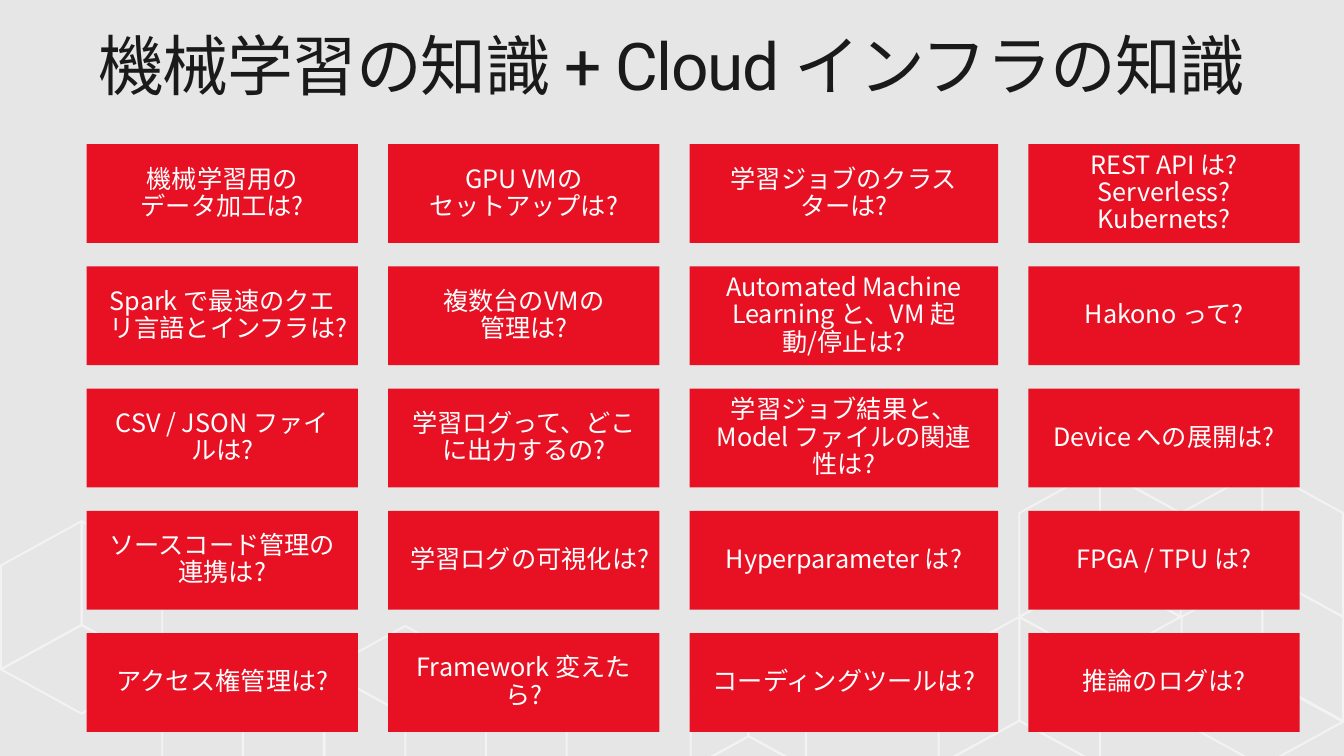
from lxml.etree import SubElement
from pptx import Presentation
from pptx.dml.color import RGBColor
from pptx.enum.shapes import MSO_SHAPE as Preset
from pptx.enum.text import MSO_ANCHOR as Anchor, PP_ALIGN as Align
from pptx.oxml.ns import qn
from pptx.util import Inches, Pt

BACKGROUND = RGBColor(0xE6, 0xE6, 0xE6)
LATTICE = RGBColor(0xF3, 0xF3, 0xF3)
RED = RGBColor(0xE8, 0x11, 0x23)
WHITE = RGBColor(0xFF, 0xFF, 0xFF)
INK = RGBColor(0x1A, 0x1A, 0x1A)
JAPANESE_FONT = "Noto Sans CJK JP"

TITLE = "機械学習の知識 + Cloud インフラの知識"
TITLE_BOX = (0.29, 0.2, 12.75, 0.98)
TITLE_FONT = {"name": "Roboto", "size": Pt(47), "bold": False}
TITLE_FRAME = {"margin_left": Inches(0.16), "margin_right": Inches(0.16),
               "margin_top": Inches(0.1), "margin_bottom": Inches(0.1),
               "vertical_anchor": Anchor.MIDDLE, "word_wrap": True}

# Question tiles, one list per column; \v breaks a line, \n a paragraph
GRID_BOX = (0.86, 1.43, 12.03, 5.83)
COLUMN_WIDTHS = (2.69, 2.69, 3.06, 2.69)
TILE_HEIGHT = 0.98
TILE_FONT = {"name": JAPANESE_FONT, "size": Pt(18)}
TILE_FRAME = {"margin_left": Inches(0.2), "margin_right": Inches(0.2),
              "margin_top": Inches(0.16), "margin_bottom": Inches(0.16),
              "vertical_anchor": Anchor.MIDDLE, "word_wrap": True}
QUESTIONS = (
    ("機械学習用の\vデータ加工は?", "Spark で最速のクエリ言語とインフラは?",
     "CSV / JSON ファイルは?", "ソースコード管理の\v連携は?", "アクセス権管理は?"),
    ("GPU VMの\vセットアップは?", "複数台のVMの\v管理は?",
     "学習ログって、どこに出力するの?", "学習ログの可視化は?", "Framework 変えたら?"),
    ("学習ジョブのクラスターは?", "Automated Machine Learning と、VM 起動/停止は?",
     "学習ジョブ結果と、Model ファイルの関連性は?", "Hyperparameter は?",
     "コーディングツールは?"),
    ("REST API は?\nServerless?\nKubernets?", "Hakono って?",
     "Device への展開は?", "FPGA / TPU は?", "推論のログは?"),
)

# Cube faces, as corners measured from the leftmost upper corner
STEP, RISE, EDGE = 0.8, 0.44, 1.03
FACES = {
    "rising": ((0, 0), (STEP, -RISE), (STEP, EDGE - RISE), (0, EDGE)),
    "falling": ((0, 0), (STEP, RISE), (STEP, EDGE + RISE), (0, EDGE)),
    "top": ((0, 0), (STEP, -RISE), (2 * STEP, 0), (STEP, RISE)),
    "roof": ((0, 0), (STEP, -RISE), (2 * STEP, 0)),
}
SMALL = 0.72
CUBES = {
    ("rising", 1): ((9.31, 6.56), (10.11, 5.09), (11.72, 6.12),
                    (2.41, 7.08), (0.01, 5.61)),
    ("falling", 1): ((10.11, 6.12), (10.91, 4.65), (12.52, 5.68), (12.52, 4.65),
                     (1.61, 6.64), (0.81, 5.17), (3.22, 6.65), (4.82, 6.65)),
    ("top", 1): ((10.91, 4.65), (10.11, 6.12), (11.72, 7.16),
                 (0.01, 6.64), (3.22, 6.65)),
    ("roof", 1): ((9.31, 7.59),),
    ("rising", SMALL): ((6.85, 6.88),),
    ("falling", SMALL): ((7.42, 6.56),),
    ("roof", SMALL): ((6.85, 7.62),),
}


def apply_format(target, values):
    for name, value in values.items():
        setattr(target, name, value)


def write_text(shape, text, frame_format, font_format, color):
    frame = shape.text_frame
    frame.text = text
    apply_format(frame, frame_format)
    for paragraph in frame.paragraphs:
        apply_format(paragraph, {"alignment": Align.CENTER, "line_spacing": 0.9})
        for run in paragraph.runs:
            apply_format(run.font, font_format)
            run.font.color.rgb = color
            properties = run.font._element
            SubElement(properties, qn("a:ea")).set("typeface", JAPANESE_FONT)


def draw_face(slide, face, scale, left, top):
    corners = [(Inches(left + x * scale), Inches(top + y * scale))
               for x, y in FACES[face]]
    builder = slide.shapes.build_freeform(*corners[0], scale=1.0)
    builder.add_line_segments(corners[1:], close=face != "roof")
    shape = builder.convert_to_shape()
    shape.shadow.inherit = False
    shape.fill.background()
    shape.line.color.rgb = LATTICE
    shape.line.width = Pt(1.38)


def draw_lattice(slide):
    for (face, scale), anchors in CUBES.items():
        for left, top in anchors:
            draw_face(slide, face, scale, left, top)


def place_title(slide, box):
    title = slide.shapes.title
    title.left, title.top, title.width, title.height = map(Inches, box)
    write_text(title, TITLE, TITLE_FRAME, TITLE_FONT, INK)
    for run in title.text_frame.paragraphs[0].runs:
        run.font._element.set("spc", "-100")


def place_tile(slide, box, text):
    tile = slide.shapes.add_shape(Preset.RECTANGLE, *map(Inches, box))
    tile.shadow.inherit = False
    tile.fill.solid()
    tile.fill.fore_color.rgb = RED
    tile.line.fill.background()
    write_text(tile, text, TILE_FRAME, TILE_FONT, WHITE)


def place_questions(slide, box):
    left, top, width, height = box
    column_gap = (width - sum(COLUMN_WIDTHS)) / (len(COLUMN_WIDTHS) - 1)
    row_pitch = (height - TILE_HEIGHT) / (len(QUESTIONS[0]) - 1)
    for column_width, questions in zip(COLUMN_WIDTHS, QUESTIONS):
        for row, question in enumerate(questions):
            tile_box = (left, top + row * row_pitch, column_width, TILE_HEIGHT)
            place_tile(slide, tile_box, question)
        left += column_width + column_gap


def main():
    presentation = Presentation()
    presentation.slide_width = Inches(13.33)
    presentation.slide_height = Inches(7.5)
    slide = presentation.slides.add_slide(presentation.slide_layouts[5])
    slide.background.fill.solid()
    slide.background.fill.fore_color.rgb = BACKGROUND
    draw_lattice(slide)
    place_title(slide, TITLE_BOX)
    place_questions(slide, GRID_BOX)
    presentation.save("out.pptx")


if __name__ == "__main__":
    main()
